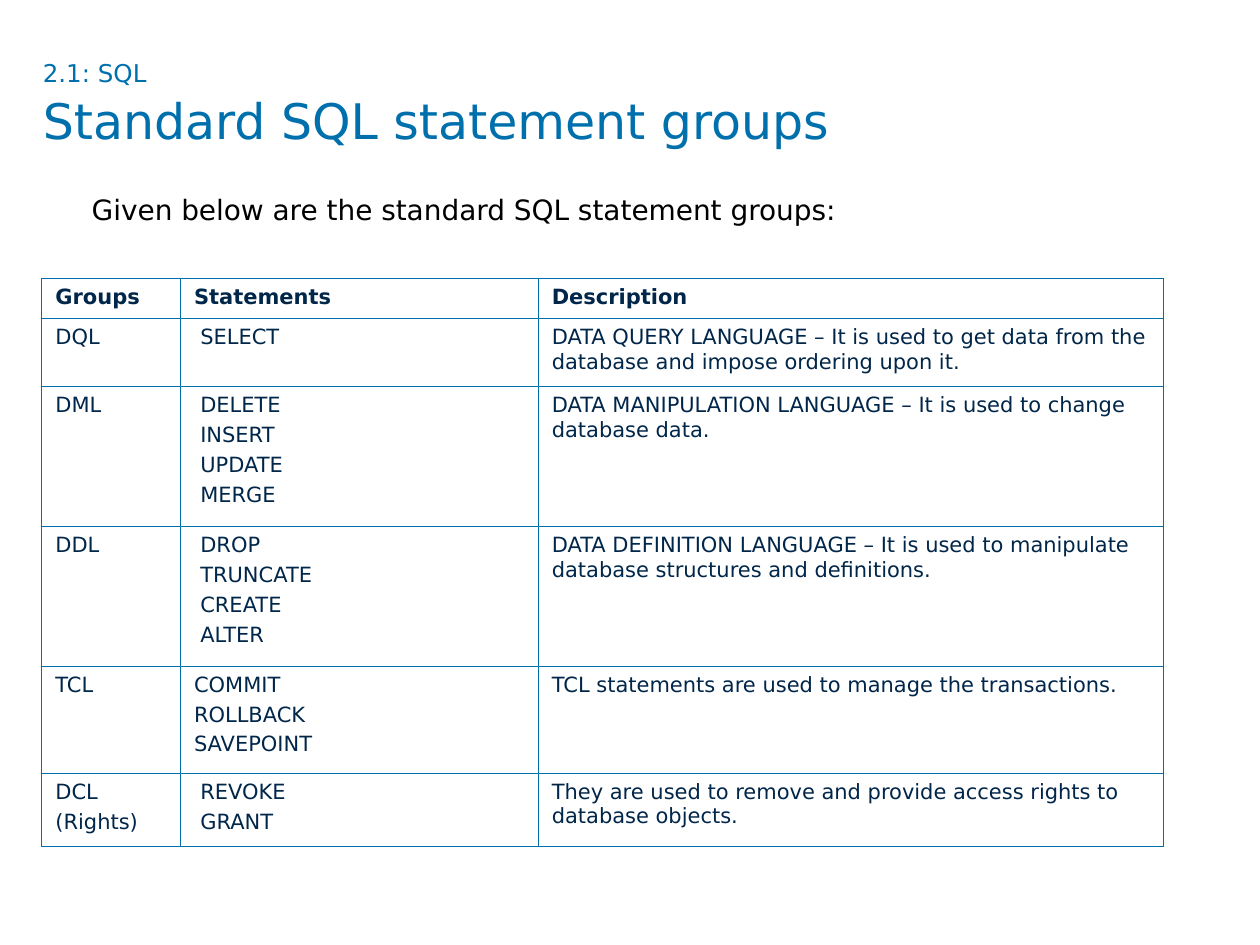
import pptx
import pptx.util
import pptx.dml.color
import pptx.oxml
import pptx.oxml.ns
from pptx.util import Inches, Pt

RGBColor = pptx.dml.color.RGBColor
BLUE = RGBColor(0x00, 0x70, 0xAD)
NAVY = RGBColor(0x00, 0x26, 0x4A)
BLACK = RGBColor(0x00, 0x00, 0x00)
FONT = "DejaVu Sans"

COLUMNS = [1.1, 2.84, 4.96]
ROW_HEIGHTS = [0.32, 0.54, 1.11, 1.11, 0.85, 0.58]
ROWS = [
    ("Groups", "Statements", "Description"),
    ("DQL", "SELECT",
     "DATA QUERY LANGUAGE – It is used to get data from the database and impose ordering upon it."),
    ("DML", "DELETE\nINSERT\nUPDATE\nMERGE",
     "DATA MANIPULATION LANGUAGE – It is used to change database data."),
    ("DDL", "DROP\nTRUNCATE\nCREATE\nALTER",
     "DATA DEFINITION LANGUAGE – It is used to manipulate database structures and definitions."),
    ("TCL", "COMMIT\nROLLBACK\nSAVEPOINT",
     "TCL statements are used to manage the transactions."),
    ("DCL\n(Rights)", "REVOKE\nGRANT",
     "They are used to remove and provide access rights to database objects."),
]


def set_font(font, size, color, bold=False):
    font.name = FONT
    font.size = Pt(size)
    font.color.rgb = color
    font.bold = bold


def set_borders(cell):
    tc_pr = cell._tc.get_or_add_tcPr()
    for side in ("lnL", "lnR", "lnT", "lnB"):
        tc_pr.append(pptx.oxml.parse_xml(
            f'<a:{side} {pptx.oxml.ns.nsdecls("a")} w="{Pt(0.45)}">'
            f'<a:solidFill><a:srgbClr val="{BLUE}"/></a:solidFill></a:{side}>'))


prs = pptx.Presentation()
prs.slide_width = Inches(10)
prs.slide_height = Inches(7.5)
s = prs.slides.add_slide(prs.slide_layouts[6])

# Title with section number above it
sp = s.shapes.add_textbox(Inches(0.34), Inches(0.45), Inches(9.33), Inches(0.94))
tf = sp.text_frame
tf.word_wrap = True
tf.margin_left = tf.margin_right = tf.margin_top = tf.margin_bottom = 0
p = tf.paragraphs[0]
p.line_spacing = 1.05
r = p.add_run()
r.text = "2.1: SQL"
set_font(r.font, 14, BLUE)
p.add_line_break()
r = p.add_run()
r.text = "Standard SQL statement groups"
set_font(r.font, 28, BLUE)

# Statement group table
frame = s.shapes.add_table(len(ROWS), len(COLUMNS), Inches(0.33), Inches(2.21),
                           Inches(sum(COLUMNS)), Inches(sum(ROW_HEIGHTS)))
table = frame.table
table.first_row = False
table.horz_banding = False
for column, width in zip(table.columns, COLUMNS):
    column.width = Inches(width)
for i, (height, texts) in enumerate(zip(ROW_HEIGHTS, ROWS)):
    table.rows[i].height = Inches(height)
    for j, text in enumerate(texts):
        cell = table.cell(i, j)
        set_borders(cell)
        cell.fill.background()
        # Statements sit slightly inward, except in the header and TCL rows
        inward = j == 1 and texts[0] not in ("Groups", "TCL")
        cell.margin_left = Inches(0.16 if inward else 0.11)
        cell.margin_right = Inches(0.11)
        cell.margin_top = cell.margin_bottom = Inches(0.05)
        cell.text = text
        for k, p in enumerate(cell.text_frame.paragraphs):
            p.space_before = Pt(3 if k else 0)
            set_font(p.font, 12, NAVY, bold=i == 0)

# Introductory line
sp = s.shapes.add_textbox(Inches(0.63), Inches(1.48), Inches(8.07), Inches(0.37))
tf = sp.text_frame
tf.word_wrap = True
p = tf.paragraphs[0]
p.text = "Given below are the standard SQL statement groups:"
set_font(p.font, 16, BLACK)

prs.save("out.pptx")
